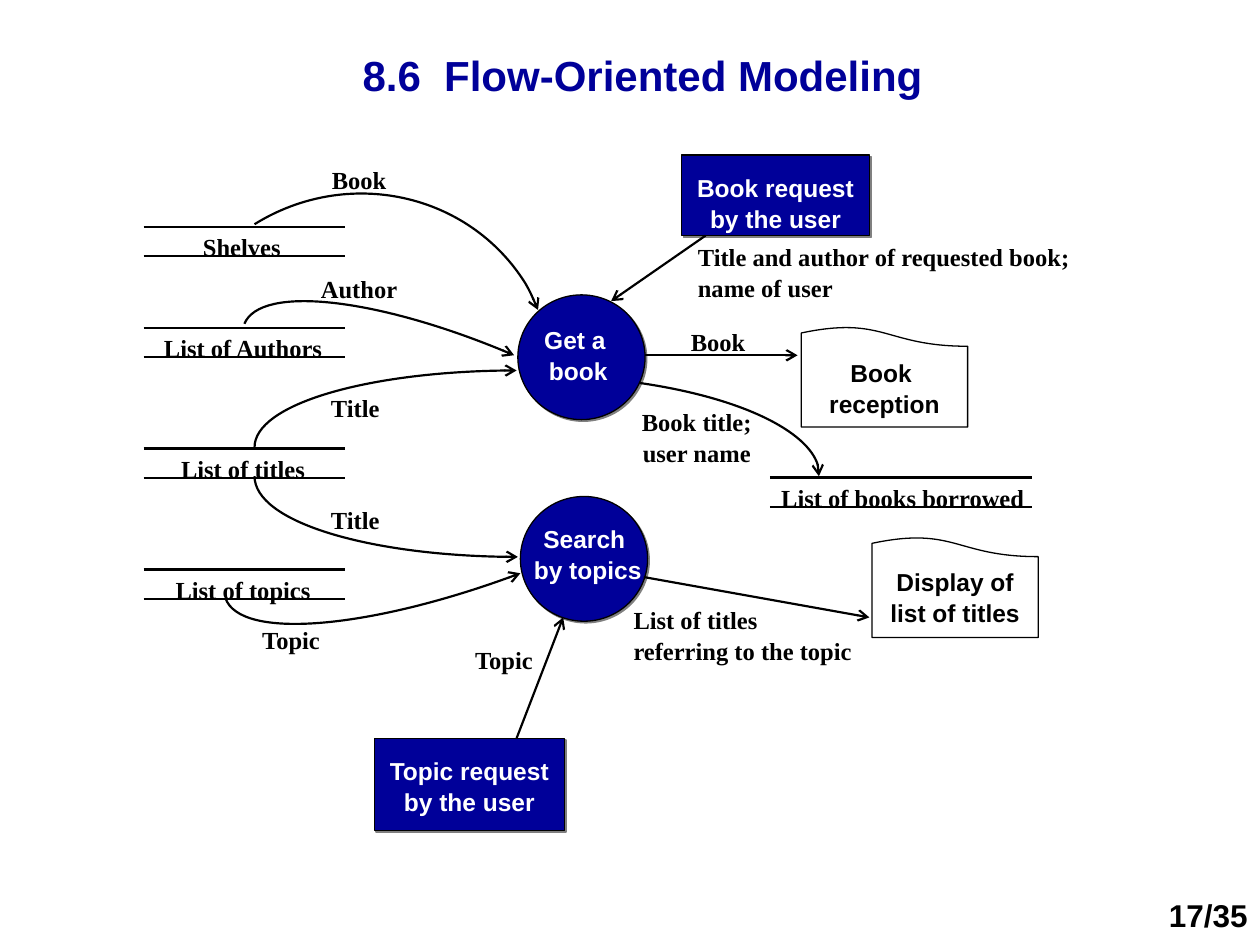
from lxml import etree
from pptx import Presentation
from pptx.dml.color import RGBColor
from pptx.enum import shapes as kinds, text as txt
from pptx.oxml.ns import qn
from pptx.util import Inches, Pt

NAVY = RGBColor(0x00, 0x00, 0x99)
BLACK = RGBColor(0x00, 0x00, 0x00)
WHITE = RGBColor(0xFF, 0xFF, 0xFF)
SANS, SERIF = "Arial", "Times New Roman"
CENTER, RIGHT = txt.PP_ALIGN.CENTER, txt.PP_ALIGN.RIGHT
JUSTIFY = txt.PP_ALIGN.JUSTIFY
SHAPE = kinds.MSO_SHAPE
GAP = 0.235  # between the two rules of a data store

TITLE = "8.6  Flow-Oriented Modeling"
# name, text left and width, rule left and right, top rule
STORES = [
    ("Shelves", 1.26, 1.32, 1.14, 2.74, 1.8),
    ("List of Authors", 1.08, 1.7, 1.14, 2.74, 2.6),
    ("List of titles", 1.08, 1.7, 1.14, 2.74, 3.56),
    ("List of topics", 1.08, 1.7, 1.14, 2.74, 4.52),
    ("List of books borrowed", 5.94, 2.45, 6.11, 8.19, 3.79),
]
# circle left and top, lines, text box, top inset
STEPS = [
    (4.11, 2.34, ["Get a ", "book"], (4.08, 2.44, 1.02, 0.84), 0.13),
    (4.13, 3.94, ["Search ", "by topics"], (4.1, 3.98, 1.13, 0.84), 0.17),
]
USERS = [
    ("Book request by the user", (5.41, 1.23, 1.49, 0.64)),
    ("Topic request by the user", (2.97, 5.86, 1.51, 0.73)),
]
# page left and top, lines, text top, top inset
PAGES = [
    (6.36, 2.59, ["Book ", "reception"], 2.66, 0.17),
    (6.92, 4.26, ["Display of list of titles"], 4.4, 0.09),
]
# lines, box, top inset, alignment
LABELS = [
    (["Title and author of requested book; ", "name of user"],
     (5.44, 1.82, 3.39, 0.64), 0.09, JUSTIFY),
    (["Book"], (2.38, 1.17, 0.94, 0.48), 0.13, CENTER),
    (["Author"], (2.38, 2.03, 0.94, 0.48), 0.13, CENTER),
    (["Title"], (2.35, 3.06, 0.94, 0.48), 0.05, CENTER),
    (["Title"], (2.35, 3.87, 0.94, 0.48), 0.13, CENTER),
    (["Topic"], (1.84, 4.9, 0.94, 0.48), 0.05, CENTER),
    (["Topic"], (3.53, 5.06, 0.94, 0.48), 0.05, CENTER),
    (["Book"], (5.23, 2.45, 0.94, 0.48), 0.13, CENTER),
    (["Book title;", "user name"], (4.87, 3.17, 1.32, 0.64), 0.05, CENTER),
    (["List of titles", "referring to the topic"],
     (4.93, 4.74, 2.27, 0.64), 0.05, JUSTIFY),
]
ARROWS = [
    ((5.6, 1.87), (4.85, 2.39)),
    ((5.12, 2.82), (6.33, 2.82)),
    ((5.11, 4.58), (6.9, 4.9)),
    ((4.1, 5.86), (4.47, 4.9)),
]
# start, then two control points and an end for each Bezier piece
CURVES = [
    [(2.02, 1.78), (2.76, 1.32), (3.72, 1.53), (4.17, 2.25),
     (4.21, 2.32), (4.24, 2.39), (4.27, 2.46)],
    [(1.94, 2.57), (2.07, 2.26), (3.03, 2.37), (4.08, 2.82)],
    [(2.02, 3.55), (2.02, 3.21), (2.95, 2.94), (4.1, 2.94)],
    [(2.02, 3.78), (2.02, 4.14), (2.96, 4.42), (4.11, 4.42)],
    [(1.79, 4.75), (1.91, 5.08), (2.96, 4.99), (4.13, 4.55)],
    [(5.08, 3.04), (5.9, 3.16), (6.54, 3.49), (6.5, 3.78)],
]

deck = Presentation()
deck.slide_width, deck.slide_height = Inches(10), Inches(7.5)
slide = deck.slides.add_slide(deck.slide_layouts[5])
items = slide.shapes


def emu(nums):
    return [Inches(n) for n in nums]


def write(shape, lines, font=SERIF, size=14, color=BLACK, align=CENTER,
          top=0.13, bottom=0, lead=1.05, anchor=txt.MSO_ANCHOR.TOP):
    frame = shape.text_frame
    frame.word_wrap = True
    frame.vertical_anchor = anchor
    frame.margin_left = frame.margin_right = Inches(0.1)
    frame.margin_top, frame.margin_bottom = Inches(top), Inches(bottom)
    frame.text = "\n".join(lines)
    for para in frame.paragraphs:
        para.alignment, para.line_spacing = align, lead
        para.space_before = Pt(0)
        for run in para.runs:
            run.font.name, run.font.size = font, Pt(size)
            run.font.bold = True
            run.font.color.rgb = color


def label(lines, box, **form):
    write(items.add_textbox(*emu(box)), lines, **form)


def stroke(shape, width, arrow=False):
    shape.line.color.rgb = BLACK
    shape.line.width = Pt(width)
    if arrow:
        line = shape.element.spPr.find(qn("a:ln"))
        etree.SubElement(line, qn("a:tailEnd"), type="arrow")


def rule(start, end, arrow=False):
    line = items.add_connector(kinds.MSO_CONNECTOR.STRAIGHT,
                               *emu(start + end))
    stroke(line, 1.25, arrow)
    etree.SubElement(line.element.spPr, qn("a:effectLst"))


def curve(points):
    """Draw an arrow whose points are taken in threes as Bezier pieces."""
    spots = [emu(p) for p in points]
    maker = items.build_freeform(*spots[0])
    maker.add_line_segments(spots[1:], close=False)
    shape = maker.convert_to_shape()
    shape.shadow.inherit = False
    shape.fill.background()
    stroke(shape, 1.25, True)
    legs = list(shape.element.iter(qn("a:lnTo")))
    for i in range(0, len(legs), 3):
        piece = etree.SubElement(legs[i].getparent(), qn("a:cubicBezTo"))
        for leg in legs[i:i + 3]:
            piece.append(leg[0])
            leg.getparent().remove(leg)


def block(kind, box):
    """Add a navy shape with a hard grey shadow."""
    shape = items.add_shape(kind, *emu(box))
    shape.shadow.inherit = False
    shape.fill.solid()
    shape.fill.fore_color.rgb = NAVY
    stroke(shape, 0.75)
    shade = etree.SubElement(shape.element.spPr.find(qn("a:effectLst")),
                             qn("a:outerShdw"), dist=str(Pt(1.4)),
                             dir="2700000", algn="ctr", rotWithShape="0")
    etree.SubElement(shade, qn("a:srgbClr"), val="808080")
    return shape


head = items.title
head.left, head.top, head.width, head.height = emu((1.85, 0.21, 6.5, 0.76))
write(head, [TITLE], font=SANS, size=24, color=NAVY, top=0.05, bottom=0.05,
      lead=1, anchor=txt.MSO_ANCHOR.MIDDLE)

for name, left, width, x1, x2, y in STORES:
    label([name], (left, y - 0.1, width, 0.48))
    for level in (y, y + GAP):
        rule((x1, level), (x2, level))

for left, y, lines, box, inset in STEPS:
    block(SHAPE.OVAL, (left, y, 1.01, 0.99))
    label(lines, box, font=SANS, color=WHITE, top=inset)

for name, box in USERS:
    write(block(SHAPE.RECTANGLE, box), [name], font=SANS, color=WHITE)

for left, y, lines, low, inset in PAGES:
    page = items.add_shape(SHAPE.FLOWCHART_DOCUMENT,
                           *emu((left, y, 1.32, 0.8)))
    page.shadow.inherit = False
    page.fill.background()
    stroke(page, 0.75)
    page.element.spPr.find(qn("a:xfrm")).set("flipV", "1")
    label(lines, (left, low, 1.32, 0.8), font=SANS, top=inset)

for start, end in ARROWS:
    rule(start, end, arrow=True)
for points in CURVES:
    curve(points)
for lines, box, inset, align in LABELS:
    label(lines, box, top=inset, align=align)

label(["17/35"], (9.1, 7.06, 0.9, 0.4), font=SANS, size=18, align=RIGHT,
      top=0.05, bottom=0.05, lead=1)

deck.save("out.pptx")
